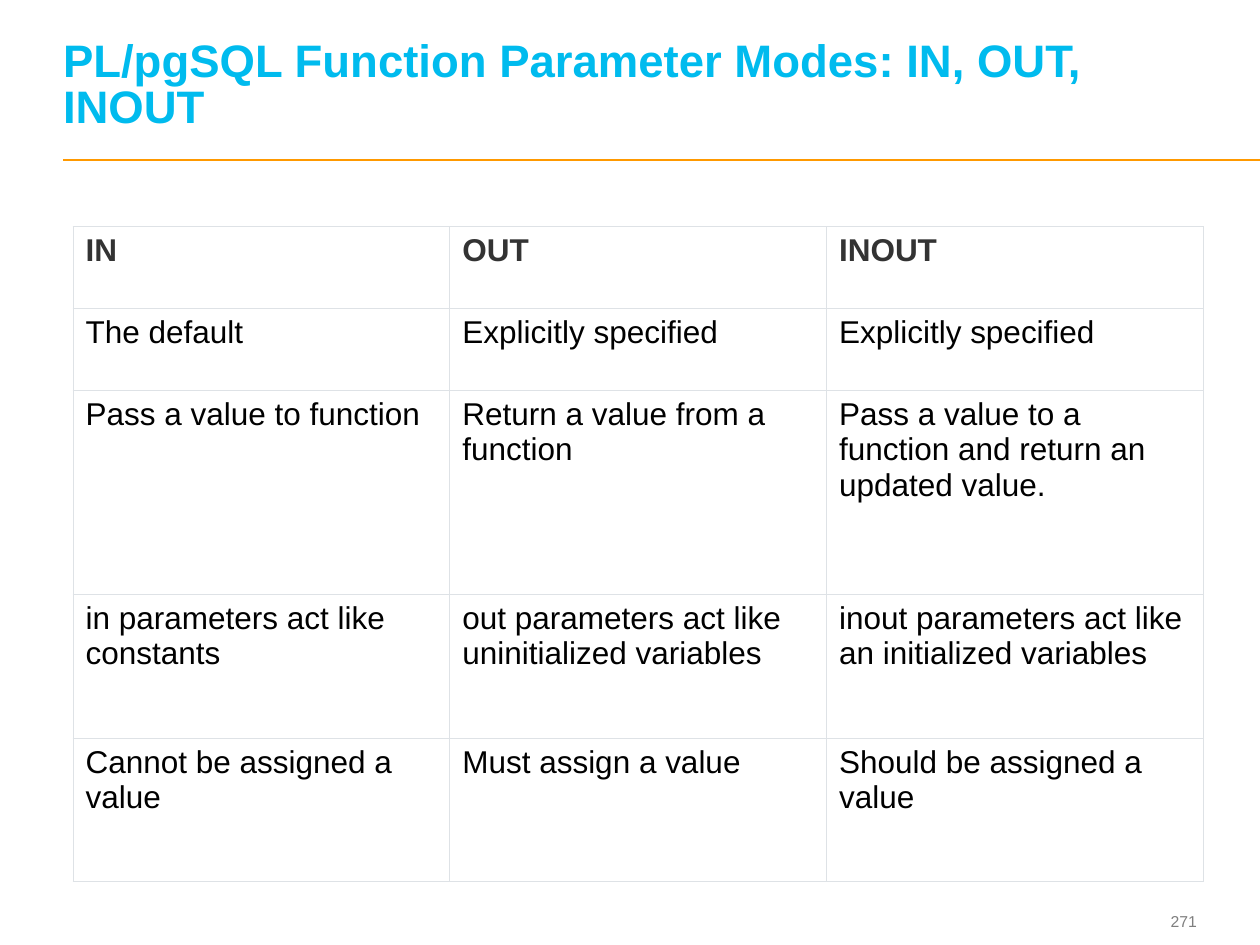
from dataclasses import dataclass

from lxml.etree import SubElement
from pptx import Presentation
from pptx.dml.color import RGBColor
from pptx.enum.shapes import MSO_CONNECTOR
from pptx.enum.text import MSO_ANCHOR as Anchor, MSO_AUTO_SIZE as AutoSize, PP_ALIGN as Align
from pptx.oxml import parse_xml
from pptx.oxml.ns import nsdecls, qn
from pptx.util import Inches, Pt

FONT = "Arial"
LEFT = 0.5
RULE_TOP = 1.27
BORDER = "DEE2E6"
BORDER_WIDTH = Pt(0.6)


@dataclass(frozen=True)
class Box:
    left: float
    top: float
    width: float
    height: float

    def lengths(self) -> list[int]:
        return [Inches(n) for n in (self.left, self.top, self.width, self.height)]


@dataclass(frozen=True)
class Style:
    size: float
    color: str
    bold: bool = False


@dataclass(frozen=True)
class Row:
    height: float
    texts: tuple[str, str, str]


TITLE = Style(26, "00BBEE", True)
HEADER = Style(18, "333333", True)
BODY = Style(18, "000000")
PAGE_NUMBER = Style(9, "7F7F7F")

ROWS = (
    Row(0.65, ("IN", "OUT", "INOUT")),
    Row(0.65, ("The default", "Explicitly specified", "Explicitly specified")),
    Row(1.62, ("Pass a value to function", "Return a value from a function",
               "Pass a value to a function and return an updated value.")),
    Row(1.14, ("in parameters act like constants",
               "out parameters act like uninitialized variables",
               "inout parameters act like an initialized variables")),
    Row(1.14, ("Cannot be assigned a value", "Must assign a value",
               "Should be assigned a value")),
)
TABLE = Box(0.58, 1.8, 8.97, sum(row.height for row in ROWS))


def rgb(color: str) -> RGBColor:
    return RGBColor.from_string(color)


def write(frame, text: str, style: Style):
    """Put one styled paragraph in a text frame and return it."""
    frame.word_wrap = True
    paragraph = frame.paragraphs[0]
    paragraph.text = text
    font = paragraph.font
    font.name, font.size, font.bold = FONT, Pt(style.size), style.bold
    font.color.rgb = rgb(style.color)
    return paragraph


def fit_frame(frame, anchor: Anchor) -> None:
    """Remove the margins and keep the text at its set size."""
    frame.auto_size = AutoSize.NONE
    frame.vertical_anchor = anchor
    frame.margin_left = frame.margin_right = frame.margin_top = frame.margin_bottom = 0


def add_title(slide, text: str, box: Box) -> None:
    title = slide.shapes.title
    title.left, title.top, title.width, title.height = box.lengths()
    fit_frame(title.text_frame, Anchor.BOTTOM)
    paragraph = write(title.text_frame, text, TITLE)
    paragraph.alignment = Align.LEFT
    paragraph.line_spacing = Pt(TITLE.size)


def add_rule(slide, slide_width: int) -> None:
    rule = slide.shapes.add_connector(
        MSO_CONNECTOR.STRAIGHT, Inches(LEFT), Inches(RULE_TOP), slide_width, Inches(RULE_TOP))
    rule.line.color.rgb = rgb("FF9900")
    rule.line.width = Pt(1)
    SubElement(rule._element.spPr, qn("a:effectLst"))


def add_page_number(slide, text: str, box: Box) -> None:
    frame = slide.shapes.add_textbox(*box.lengths()).text_frame
    fit_frame(frame, Anchor.MIDDLE)
    write(frame, text, PAGE_NUMBER).alignment = Align.RIGHT


def set_borders(cell) -> None:
    properties = cell._tc.get_or_add_tcPr()
    for index, side in enumerate(("lnL", "lnR", "lnT", "lnB")):
        properties.insert(index, parse_xml(
            f'<a:{side} {nsdecls("a")} w="{BORDER_WIDTH}"><a:solidFill>'
            f'<a:srgbClr val="{BORDER}"/></a:solidFill></a:{side}>'))


def add_mode_table(slide, rows: tuple[Row, ...], box: Box) -> None:
    column_count = len(rows[0].texts)
    table = slide.shapes.add_table(len(rows), column_count, *box.lengths()).table
    table.horz_banding = False
    for column in table.columns:
        column.width = Inches(box.width / column_count)
    for row_index, row in enumerate(rows):
        table.rows[row_index].height = Inches(row.height)
        for column_index, text in enumerate(row.texts):
            cell = table.cell(row_index, column_index)
            cell.fill.solid()
            cell.fill.fore_color.rgb = rgb("FFFFFF")
            set_borders(cell)
            write(cell.text_frame, text, BODY if row_index else HEADER)


def main() -> None:
    presentation = Presentation()
    presentation.slide_width, presentation.slide_height = Inches(10), Inches(7.5)
    title_only = presentation.slide_layouts[5]
    slide = presentation.slides.add_slide(title_only)

    # Heading and the line below it
    add_rule(slide, presentation.slide_width)
    add_title(slide, "PL/pgSQL Function Parameter Modes: IN, OUT, INOUT",
              Box(LEFT, 0.19, 8.97, 0.86))

    # Comparison of the parameter modes
    add_mode_table(slide, ROWS, TABLE)

    # Footer
    add_page_number(slide, "271", Box(8.91, 7.18, 0.59, 0.27))

    presentation.save("out.pptx")


if __name__ == "__main__":
    main()
